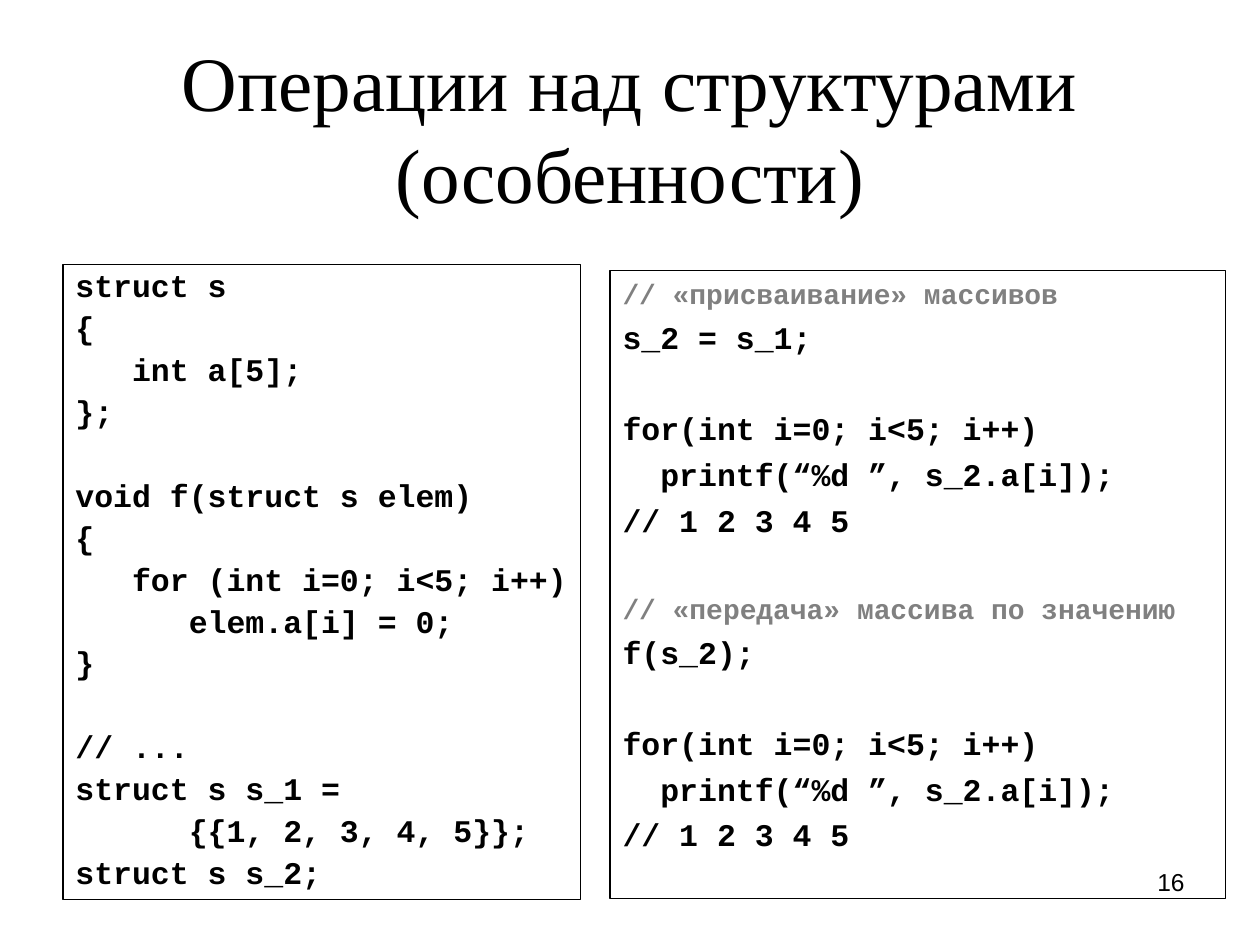
from dataclasses import dataclass

import pptx
import pptx.dml.color
import pptx.enum.shapes
import pptx.enum.text
import pptx.util

Cm = pptx.util.Cm
Pt = pptx.util.Pt
Align = pptx.enum.text.PP_ALIGN
Anchor = pptx.enum.text.MSO_ANCHOR


@dataclass(frozen=True)
class Theme:
    black: str = "000000"
    comment: str = "808080"
    title_font: str = "Times New Roman"
    code_font: str = "Courier New"
    number_font: str = "Arial"
    title_size: int = 44
    code_size: int = 18
    comment_size: int = 16
    number_size: int = 14
    border: float = 0.75
    # Space above a paragraph
    code_gap: float = 4.5
    comment_gap: float = 4
    # Column width and line height relative to the type size
    column_ratio: float = 0.6
    line_ratio: float = 1.2


THEME = Theme()

# Code lines are (indent in columns, text); None stands for an empty line
DECLARATIONS = [
    (0, "struct s"), (0, "{"), (3, "int a[5];"), (0, "};"),
    None,
    (0, "void f(struct s elem)"), (0, "{"),
    (3, "for (int i=0; i<5; i++)"), (6, "elem.a[i] = 0;"), (0, "}"),
    None,
    (0, "// ..."), (0, "struct s s_1 ="), (6, "{{1, 2, 3, 4, 5}};"),
    (0, "struct s s_2;"),
]
PRINT_LOOP = [
    None,
    (0, "for(int i=0; i<5; i++)"), (2, "printf(“%d ”, s_2.a[i]);"),
    (0, "// 1 2 3 4 5"),
]
USAGE = [
    (0, "// «присваивание» массивов"), (0, "s_2 = s_1;"), *PRINT_LOOP,
    None,
    (0, "// «передача» массива по значению"), (0, "f(s_2);"), *PRINT_LOOP,
]


def add_span(para, text, font, size, color, bold=False):
    span = para.add_run()
    span.text = text
    span.font.name = font
    span.font.size = Pt(size)
    span.font.bold = bold
    span.font.color.rgb = pptx.dml.color.RGBColor.from_string(color)


def add_label(page, place, text, font, size, align, anchor):
    box = page.shapes.add_textbox(*map(Cm, place))
    box.text_frame.word_wrap = True
    box.text_frame.vertical_anchor = anchor
    para = box.text_frame.paragraphs[0]
    para.alignment = align
    add_span(para, text, font, size, THEME.black)


def add_code(page, place, lines, line_spacing):
    box = page.shapes.add_shape(
        pptx.enum.shapes.MSO_SHAPE.RECTANGLE, *map(Cm, place))
    box.shadow.inherit = False
    box.fill.background()
    box.line.color.rgb = pptx.dml.color.RGBColor.from_string(THEME.black)
    box.line.width = Pt(THEME.border)
    frame = box.text_frame
    frame.word_wrap = True
    frame.vertical_anchor = Anchor.TOP

    line_height = THEME.code_size * THEME.line_ratio * line_spacing
    column = THEME.code_size * THEME.column_ratio
    para, skipped = frame.paragraphs[0], 0
    for line in lines:
        if line is None:
            skipped += line_height + THEME.code_gap
            continue
        indent, text = line
        # Explanatory comments are smaller and grey
        if text.startswith("// «"):
            size, color, gap = THEME.comment_size, THEME.comment, THEME.comment_gap
        else:
            size, color, gap = THEME.code_size, THEME.black, THEME.code_gap
        para = para or frame.add_paragraph()
        para.alignment = Align.LEFT
        para.line_spacing = line_spacing
        para.space_before = Pt(skipped + gap)
        if indent:
            para._p.get_or_add_pPr().set("marL", str(Pt(indent * column)))
        add_span(para, text, THEME.code_font, size, color, bold=True)
        para, skipped = None, 0


def main():
    deck = pptx.Presentation()
    deck.slide_width, deck.slide_height = Cm(25.4), Cm(19.05)
    page = deck.slides.add_slide(deck.slide_layouts[6])

    # Title
    add_label(page, (1.27, 0.77, 22.86, 3.56),
              "Операции над структурами (особенности)",
              THEME.title_font, THEME.title_size, Align.CENTER, Anchor.MIDDLE)

    # Code panels
    add_code(page, (1.27, 5.33, 10.44, 12.8), DECLARATIONS, 0.9)
    add_code(page, (12.3, 5.45, 12.4, 12.67), USAGE, 1.0)

    # Page number
    add_label(page, (18.21, 17.35, 5.92, 1.32), "16",
              THEME.number_font, THEME.number_size, Align.RIGHT, Anchor.TOP)

    deck.save("out.pptx")


if __name__ == "__main__":
    main()
